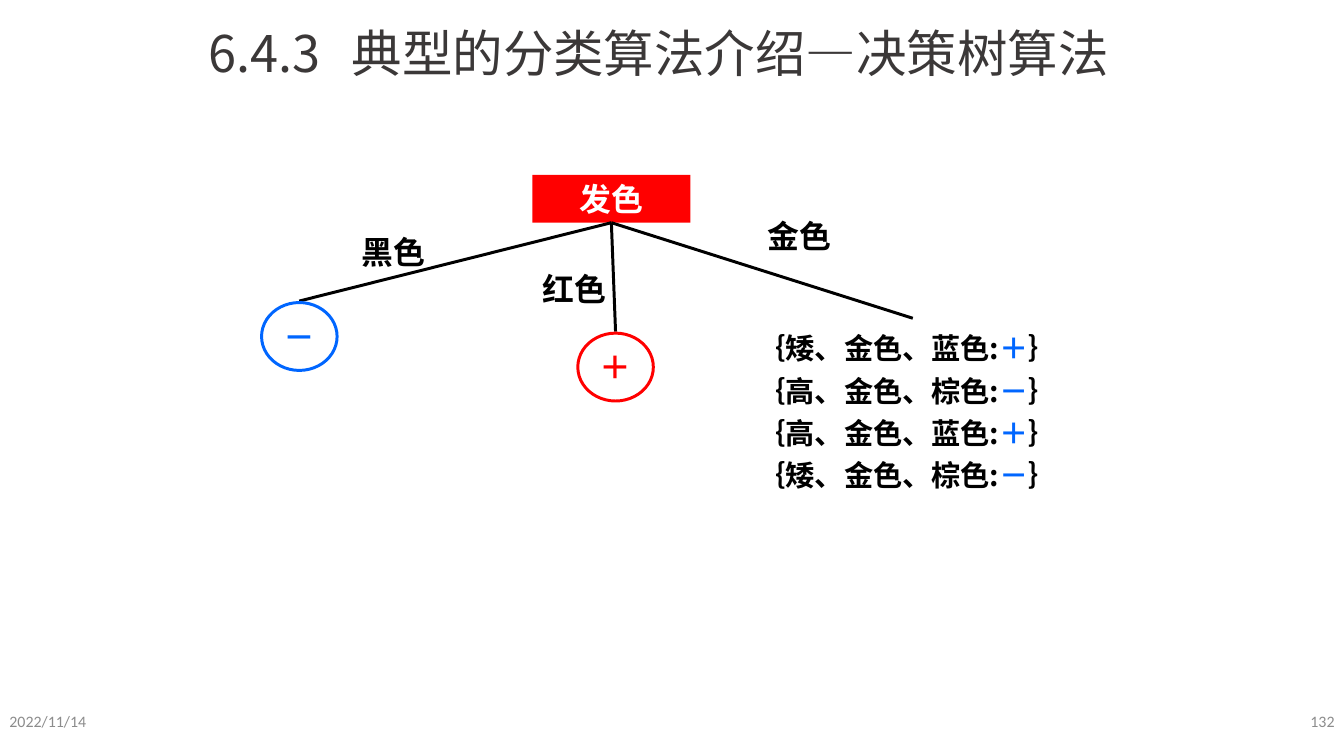
from lxml.etree import SubElement
from pptx import Presentation
from pptx.dml.color import RGBColor
from pptx.enum.shapes import MSO_CONNECTOR as Connector, MSO_SHAPE as Shape
from pptx.enum.text import MSO_ANCHOR as Anchor, PP_ALIGN as Align
from pptx.oxml.ns import qn
from pptx.util import Inches, Pt

BLACK = RGBColor(0, 0, 0)
WHITE = RGBColor(255, 255, 255)
RED = RGBColor(255, 0, 0)
BLUE = RGBColor(0, 102, 255)
TITLE_GRAY = RGBColor(0x3B, 0x38, 0x38)
FOOTER_GRAY = RGBColor(0x8C, 0x8C, 0x8C)
CHINESE_FONT = "Noto Sans CJK SC"


class TreeSlide:
    def __init__(self, presentation):
        self.column = presentation.slide_width / 100
        self.row = presentation.slide_height / 100
        self.shapes = presentation.slides.add_slide(presentation.slide_layouts[6]).shapes

    def place(self, left, top, *size):
        scales = (self.column, self.row, self.column, self.row)
        return [round(value * scale) for value, scale in zip((left, top, *size), scales)]

    def run(self, paragraph, text, size, color, font="Arial", bold=True):
        run = paragraph.add_run()
        run.text = text
        run.font.size = Pt(size)
        run.font.bold = bold
        run.font.name = font
        run.font.color.rgb = color
        SubElement(run.font._element, qn("a:ea")).set("typeface", CHINESE_FONT)

    def frame(self, shape, align, inset=0.1):
        frame = shape.text_frame
        frame.word_wrap = True
        frame.vertical_anchor = Anchor.MIDDLE
        frame.margin_left = frame.margin_right = Inches(inset)
        frame.margin_top = frame.margin_bottom = 0
        frame.paragraphs[0].alignment = align
        return frame

    def text(self, box, text, size, color, align=Align.CENTER, **style):
        frame = self.frame(self.shapes.add_textbox(*self.place(*box)), align)
        self.run(frame.paragraphs[0], text, size, color, **style)
        return frame

    def title(self, box, number, text):
        frame = self.text(box, f"{number}\t{text}", 38, TITLE_GRAY, Align.LEFT,
                          font=CHINESE_FONT, bold=False)
        properties = frame.paragraphs[0]._p.get_or_add_pPr()
        tab = SubElement(SubElement(properties, qn("a:tabLst")), qn("a:tab"))
        tab.set("pos", str(Inches(1.5)))
        tab.set("algn", "l")

    def node(self, kind, box, text, color, fill=None, line=None, font="Arial"):
        shape = self.shapes.add_shape(kind, *self.place(*box))
        shape.shadow.inherit = False
        if fill is None:
            shape.fill.background()
        else:
            shape.fill.solid()
            shape.fill.fore_color.rgb = fill
        if line is None:
            shape.line.fill.background()
        else:
            shape.line.color.rgb = line
            shape.line.width = Pt(2.25)
        frame = self.frame(shape, Align.CENTER, 0)
        self.run(frame.paragraphs[0], text, 24, color, font)

    def branch(self, start, end):
        line = self.shapes.add_connector(Connector.STRAIGHT, *self.place(*start), *self.place(*end))
        line.line.color.rgb = BLACK
        line.line.width = Pt(2.25)
        SubElement(line._element.spPr, qn("a:effectLst"))

    def examples(self, box, rows):
        frame = self.frame(self.shapes.add_textbox(*self.place(*box)), Align.CENTER)
        frame.vertical_anchor = Anchor.TOP
        frame.margin_top = Inches(0.05)
        for index, (features, sign) in enumerate(rows):
            paragraph = frame.add_paragraph() if index else frame.paragraphs[0]
            paragraph.alignment = Align.CENTER
            if index:
                paragraph.space_before = Pt(5.5)
            self.run(paragraph, f"｛{features}:", 22, BLACK, CHINESE_FONT)
            self.run(paragraph, sign, 22, BLUE)
            self.run(paragraph, "｝", 22, BLACK, CHINESE_FONT)


def main():
    presentation = Presentation()
    presentation.slide_width = Inches(14.06)
    presentation.slide_height = Inches(7.91)
    slide = TreeSlide(presentation)

    footer = {"size": 12, "color": FOOTER_GRAY, "font": "Calibri", "bold": False}
    slide.text((0, 92.67, 22.5, 5.3), "2022/11/14", align=Align.LEFT, **footer)
    slide.text((77.5, 92.67, 22.5, 5.3), "132", align=Align.RIGHT, **footer)
    slide.title((14.8, 2.15, 69.4, 9.5), "6.4.3", "典型的分类算法介绍—决策树算法")

    label_size = (11.74, 6.32)
    leaf_width, leaf_height = 5.62, 8.98
    root_left, root_top = 39.62, 23.14
    root_foot = (root_left + label_size[0] / 2, root_top + label_size[1])
    slide.node(Shape.RECTANGLE, (root_left, root_top, *label_size), "发色", WHITE, fill=RED)

    branches = [
        ("黑色", (23.4, 30.09), (22.27, 39.82)),
        ("红色", (36.84, 35.02), (45.8, 43.87)),
        ("金色", (53.63, 28.07), (67.92, 42.1)),
    ]
    for name, corner, end in branches:
        slide.text((*corner, *label_size), name, 24, BLACK)
        slide.branch(root_foot, end)

    for (_, _, (x, y)), sign, color in zip(branches, "－＋", (BLUE, RED)):
        box = (x - leaf_width / 2, y + 0.2, leaf_width, leaf_height)
        slide.node(Shape.OVAL, box, sign, color, line=color, font="Calibri")

    slide.examples((54.77, 43.11, 25.46, 26.8), [
        ("矮、金色、蓝色", "＋"),
        ("高、金色、棕色", "－"),
        ("高、金色、蓝色", "＋"),
        ("矮、金色、棕色", "－"),
    ])
    presentation.save("out.pptx")


if __name__ == "__main__":
    main()
